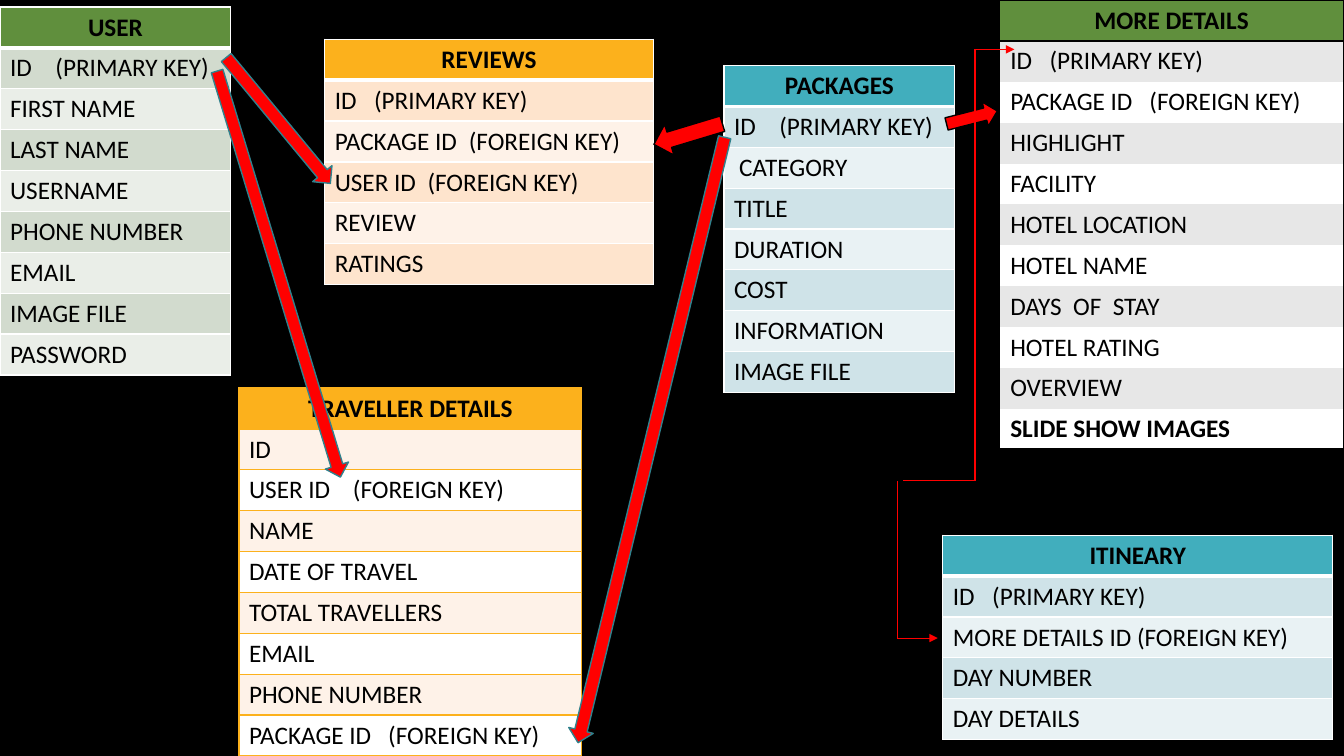
from dataclasses import dataclass
from lxml import etree
from pptx import Presentation
from pptx.dml.color import RGBColor
from pptx.enum.shapes import MSO_CONNECTOR, MSO_SHAPE
from pptx.enum.text import PP_ALIGN
from pptx.oxml.ns import qn
from pptx.util import Inches, Pt

STRAIGHT = MSO_CONNECTOR.STRAIGHT
LEFT_ARROW, RIGHT_ARROW = MSO_SHAPE.LEFT_ARROW, MSO_SHAPE.RIGHT_ARROW
CENTER = PP_ALIGN.CENTER
SIDES = ("lnL", "lnR", "lnT", "lnB")


@dataclass(frozen=True)
class Theme:
    font: str = "Calibri"
    size: int = 18
    row_height: float = 0.4
    black: str = "000000"
    white: str = "FFFFFF"
    red: str = "FF0000"
    arrow_edge: str = "30818C"
    green: str = "608F3D"
    green_bands: tuple = ("D2DBCE", "EAEEE8")
    teal: str = "41AEBD"
    teal_bands: tuple = ("CFE3E8", "E9F2F4")
    amber: str = "FCB11C"
    amber_bands: tuple = ("FEE4CD", "FEF2E8")
    pale_bands: tuple = ("FEF2E8", "FFFFFF")
    gray_bands: tuple = ("E7E7E7", "FFFFFF")


class Diagram:
    def __init__(self, page, theme):
        self.page = page
        self.theme = theme
        fill = page.background.fill
        fill.solid()
        fill.fore_color.rgb = RGBColor.from_string(theme.black)

    def border(self, cell, side, color, width):
        line = etree.SubElement(cell._tc.get_or_add_tcPr(), qn("a:" + side))
        if not width:
            etree.SubElement(line, qn("a:noFill"))
            return
        line.set("w", str(Pt(width)))
        fill = etree.SubElement(line, qn("a:solidFill"))
        etree.SubElement(fill, qn("a:srgbClr")).set("val", color)

    def label(self, cell, entry, bold):
        para = cell.text_frame.paragraphs[0]
        if isinstance(entry, tuple):
            name, stop, detail = entry
            para.text = f"{name}\t{detail}"
            stops = etree.SubElement(para._p.get_or_add_pPr(), qn("a:tabLst"))
            etree.SubElement(stops, qn("a:tab"), pos=str(Inches(stop)), algn="l")
        else:
            para.text = entry
        font = para.runs[0].font
        font.name, font.size, font.bold = self.theme.font, Pt(self.theme.size), bold
        font.color.rgb = RGBColor.from_string(self.theme.black)
        return para

    def entity(self, left, top, width, title, fields, header, bands,
               edge, edge_width=1, rule=3, bold_last=False):
        entries = [title, *fields]
        last = len(entries) - 1
        height = self.theme.row_height * len(entries)
        frame = self.page.shapes.add_table(
            len(entries), 1, Inches(left), Inches(top), Inches(width), Inches(height))
        table = frame.table
        table.first_row = table.horz_banding = False
        for index, entry in enumerate(entries):
            cell = table.cell(index, 0)
            widths = dict.fromkeys(SIDES, edge_width)
            if index == 0:
                widths["lnB"] = rule
                widths["lnT"] = edge_width or rule
            if index == 1:
                widths["lnT"] = rule
            if index == last:
                widths["lnB"] = edge_width or rule
            for side in SIDES:
                self.border(cell, side, edge, widths[side])
            cell.fill.solid()
            color = bands[(index - 1) % 2] if index else header
            cell.fill.fore_color.rgb = RGBColor.from_string(color)
            para = self.label(cell, entry, index == 0 or bold_last and index == last)
            if index == 0:
                para.alignment = CENTER

    def arrow(self, kind, left, top, width, height, rotation, edge):
        shape = self.page.shapes.add_shape(
            kind, Inches(left), Inches(top), Inches(width), Inches(height))
        shape.rotation = rotation
        shape.shadow.inherit = False
        shape.fill.solid()
        shape.fill.fore_color.rgb = RGBColor.from_string(self.theme.red)
        shape.line.color.rgb = RGBColor.from_string(edge)
        shape.line.width = Pt(1)

    def link(self, start, end, width=0.5, head=False):
        line = self.page.shapes.add_connector(
            STRAIGHT, *(Inches(value) for value in (*start, *end)))
        line.line.color.rgb = RGBColor.from_string(self.theme.red)
        line.line.width = Pt(width)
        properties = line._element.spPr
        if head:
            outline = properties.find(qn("a:ln"))
            etree.SubElement(outline, qn("a:tailEnd"), type="triangle")
        etree.SubElement(properties, qn("a:effectLst"))


theme = Theme()
deck = Presentation()
deck.slide_width, deck.slide_height = Inches(13.33), Inches(7.5)
diagram = Diagram(deck.slides.add_slide(deck.slide_layouts[6]), theme)

PRIMARY, FOREIGN = "(PRIMARY KEY)", "(FOREIGN KEY)"
WIDE_ID, NARROW_ID = ("ID", 0.45, PRIMARY), ("ID", 0.39, PRIMARY)
PACKAGE_ID = ("PACKAGE ID", 1.38, FOREIGN)

diagram.entity(0, 0.07, 2.29, "USER", [
    WIDE_ID, "FIRST NAME", "LAST NAME", "USERNAME", "PHONE NUMBER", "EMAIL",
    "IMAGE FILE", "PASSWORD"], theme.green, theme.green_bands, theme.white)
diagram.entity(7.18, 0.65, 2.29, "PACKAGES", [
    WIDE_ID, ("", 0.05, "CATEGORY"), "TITLE", "DURATION", "COST", "INFORMATION",
    "IMAGE FILE"], theme.teal, theme.teal_bands, theme.white)
diagram.entity(2.37, 3.85, 3.4, "TRAVELLER DETAILS", [
    "ID", ("USER ID", 1.03, FOREIGN), "NAME", "DATE OF TRAVEL", "TOTAL TRAVELLERS",
    "EMAIL", "PHONE NUMBER", PACKAGE_ID],
    theme.amber, theme.pale_bands, theme.amber, rule=1)
diagram.entity(9.92, 0, 3.4, "MORE DETAILS", [
    NARROW_ID, PACKAGE_ID, "HIGHLIGHT", "FACILITY", "HOTEL LOCATION", "HOTEL NAME",
    "DAYS  OF  STAY", "HOTEL RATING", "OVERVIEW", "SLIDE SHOW IMAGES"],
    theme.green, theme.gray_bands, theme.black, edge_width=0, rule=2, bold_last=True)
diagram.entity(9.35, 5.31, 3.87, "ITINEARY", [
    NARROW_ID, "MORE DETAILS ID (FOREIGN KEY)", "DAY NUMBER", "DAY DETAILS"],
    theme.teal, theme.teal_bands, theme.white)
diagram.entity(3.22, 0.39, 3.26, "REVIEWS", [
    NARROW_ID, ("PACKAGE ID", 1.33, FOREIGN), ("USER ID", 0.92, FOREIGN),
    "REVIEW", "RATINGS"], theme.amber, theme.amber_bands, theme.white)

diagram.arrow(LEFT_ARROW, 6.47, 1.17, 0.71, 0.32, 343.2, theme.black)
diagram.arrow(RIGHT_ARROW, 1.95, 1.07, 1.62, 0.25, 50.4, theme.arrow_edge)
diagram.arrow(RIGHT_ARROW, 0.66, 2.6, 4.21, 0.24, 73.1, theme.arrow_edge)
diagram.arrow(RIGHT_ARROW, 3.37, 4.24, 6.18, 0.25, 103.6, theme.arrow_edge)
diagram.arrow(LEFT_ARROW, 9.38, 1.04, 0.52, 0.25, 165.7, theme.black)

diagram.link((9.67, 0.49), (9.67, 4.77), width=1.5)
diagram.link((9.67, 4.77), (8.96, 4.77))
diagram.link((8.9, 4.77), (8.9, 6.33))
diagram.link((8.9, 6.33), (9.3, 6.33), head=True)
diagram.link((9.67, 0.49), (10.06, 0.49), head=True)

deck.save("out.pptx")
